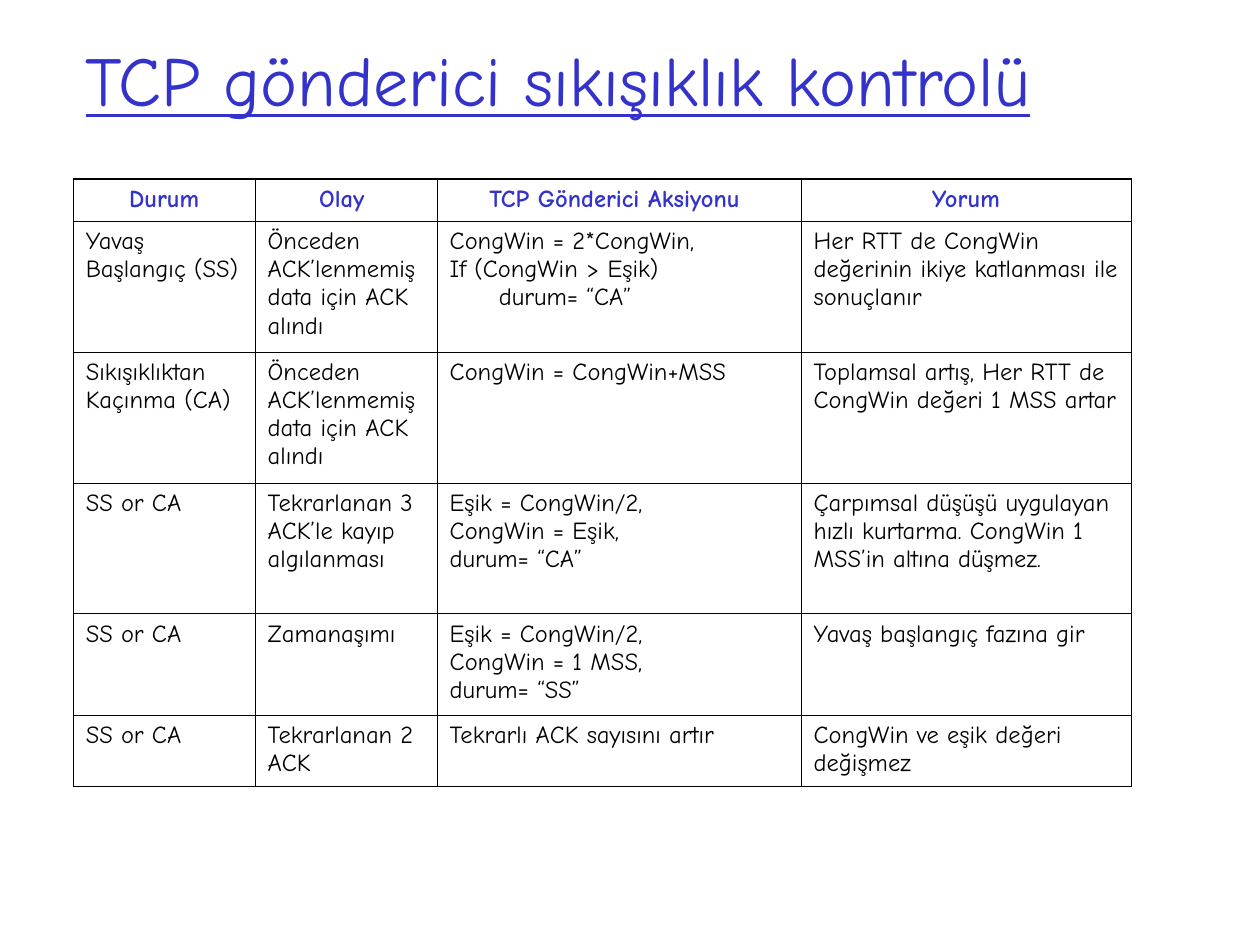
from lxml import etree
from pptx import Presentation
from pptx.dml.color import RGBColor
from pptx.enum import text
from pptx.oxml import ns
from pptx.util import Pt

BLUE = RGBColor(0x33, 0x33, 0xCC)
BLACK = RGBColor(0, 0, 0)

LEFT = 41.8
COLUMN_WIDTHS = [104, 104, 208, 188.6]
ROW_HEIGHTS = [24.2, 74.8, 74.8, 74.8, 57.8, 41]
SIDE, INNER, OUTER = 0.34, 0.45, 0.96

ACK_RECEIVED = "Önceden ACK’lenmemiş data için ACK alındı"
EITHER_STATE = "SS or CA"
ROWS = [
    ["Durum", "Olay ", "TCP Gönderici Aksiyonu ", "Yorum"],
    ["Yavaş Başlangıç (SS)", ACK_RECEIVED,
     "CongWin = 2*CongWin,\nIf (CongWin > Eşik)\n      durum= “CA”",
     "Her RTT de CongWin değerinin ikiye katlanması ile sonuçlanır"],
    ["Sıkışıklıktan Kaçınma (CA)", ACK_RECEIVED, "CongWin = CongWin+MSS",
     "Toplamsal artış, Her RTT de CongWin değeri 1 MSS artar"],
    [EITHER_STATE, "Tekrarlanan 3 ACK’le kayıp algılanması",
     "Eşik = CongWin/2,\nCongWin = Eşik,\ndurum= “CA”",
     "Çarpımsal düşüşü uygulayan hızlı kurtarma. CongWin 1 MSS’in altına düşmez."],
    [EITHER_STATE, "Zamanaşımı",
     "Eşik = CongWin/2,\nCongWin = 1 MSS,\ndurum= “SS”",
     "Yavaş başlangıç fazına gir"],
    [EITHER_STATE, "Tekrarlanan 2 ACK", "Tekrarlı ACK sayısını artır",
     "CongWin ve eşik değeri değişmez"],
]


class SlideBuilder:
    font = "Comic Neue"
    title_size = 40
    cell_size = 14

    def __init__(self, s):
        self.s = s

    def add_lines(self, tf, content, size, color, bold=False, underline=False, align=None):
        """Fill a text frame with one paragraph per line of content."""
        for i, line in enumerate(content.split("\n")):
            p = tf.add_paragraph() if i else tf.paragraphs[0]
            p.alignment = align
            r = p.add_run()
            r.text = line
            r.font.name = self.font
            r.font.size = Pt(size)
            r.font.bold = bold
            r.font.underline = underline
            r.font.color.rgb = color

    def title(self, content, x, y, w, h):
        tf = self.s.shapes.add_textbox(Pt(x), Pt(y), Pt(w), Pt(h)).text_frame
        tf.word_wrap = True
        tf.vertical_anchor = text.MSO_ANCHOR.MIDDLE
        self.add_lines(tf, content, self.title_size, BLUE, underline=True)

    def borders(self, cell, top, bottom):
        widths = {"lnL": SIDE, "lnR": SIDE, "lnT": top, "lnB": bottom}
        tc_pr = cell._tc.get_or_add_tcPr()
        for i, (side, width) in enumerate(widths.items()):
            ln = etree.Element(ns.qn(f"a:{side}"), w=str(Pt(width)))
            fill = etree.SubElement(ln, ns.qn("a:solidFill"))
            etree.SubElement(fill, ns.qn("a:srgbClr"), val=str(BLACK))
            tc_pr.insert(i, ln)

    def table(self, rows, x, y, widths, heights):
        frame = self.s.shapes.add_table(len(rows), len(widths), Pt(x), Pt(y),
                                        Pt(sum(widths)), Pt(sum(heights)))
        table = frame.table
        table.first_row = table.horz_banding = False
        for column, width in zip(table.columns, widths):
            column.width = Pt(width)
        last = len(rows) - 1
        for i, (row, contents) in enumerate(zip(table.rows, rows)):
            row.height = Pt(heights[i])
            header = i == 0
            for cell, content in zip(row.cells, contents):
                cell.fill.background()
                self.borders(cell, OUTER if header else INNER,
                             OUTER if i == last else INNER)
                self.add_lines(cell.text_frame, content, self.cell_size,
                               BLUE if header else BLACK, bold=header,
                               align=text.PP_ALIGN.CENTER if header else text.PP_ALIGN.LEFT)


def main():
    prs = Presentation()
    prs.slide_width, prs.slide_height = Pt(720), Pt(540)
    builder = SlideBuilder(prs.slides.add_slide(prs.slide_layouts[6]))
    builder.title("TCP gönderici sıkışıklık kontrolü", LEFT, 0, 612, 90)
    builder.table(ROWS, LEFT, 102.2, COLUMN_WIDTHS, ROW_HEIGHTS)
    prs.save("out.pptx")


if __name__ == "__main__":
    main()
